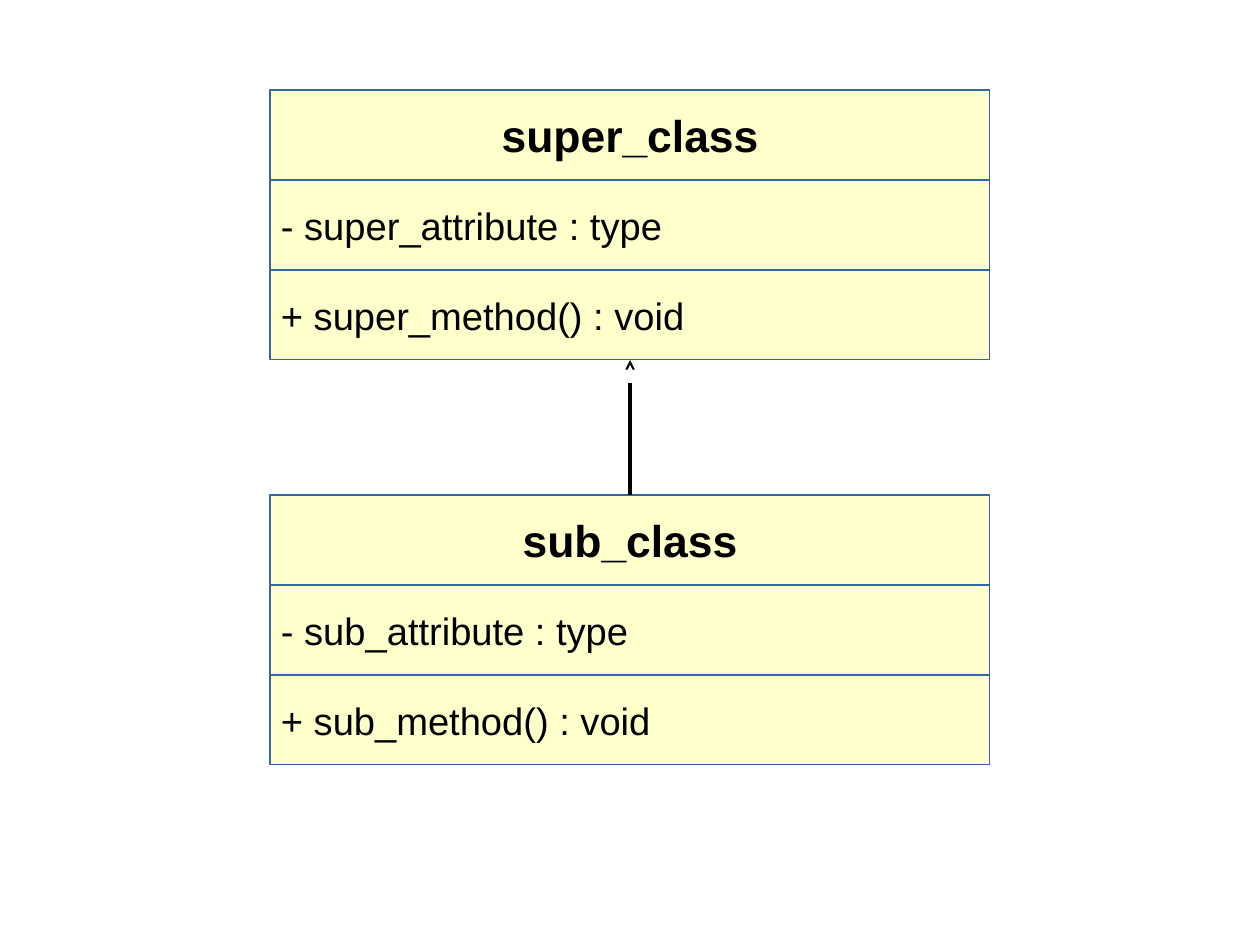
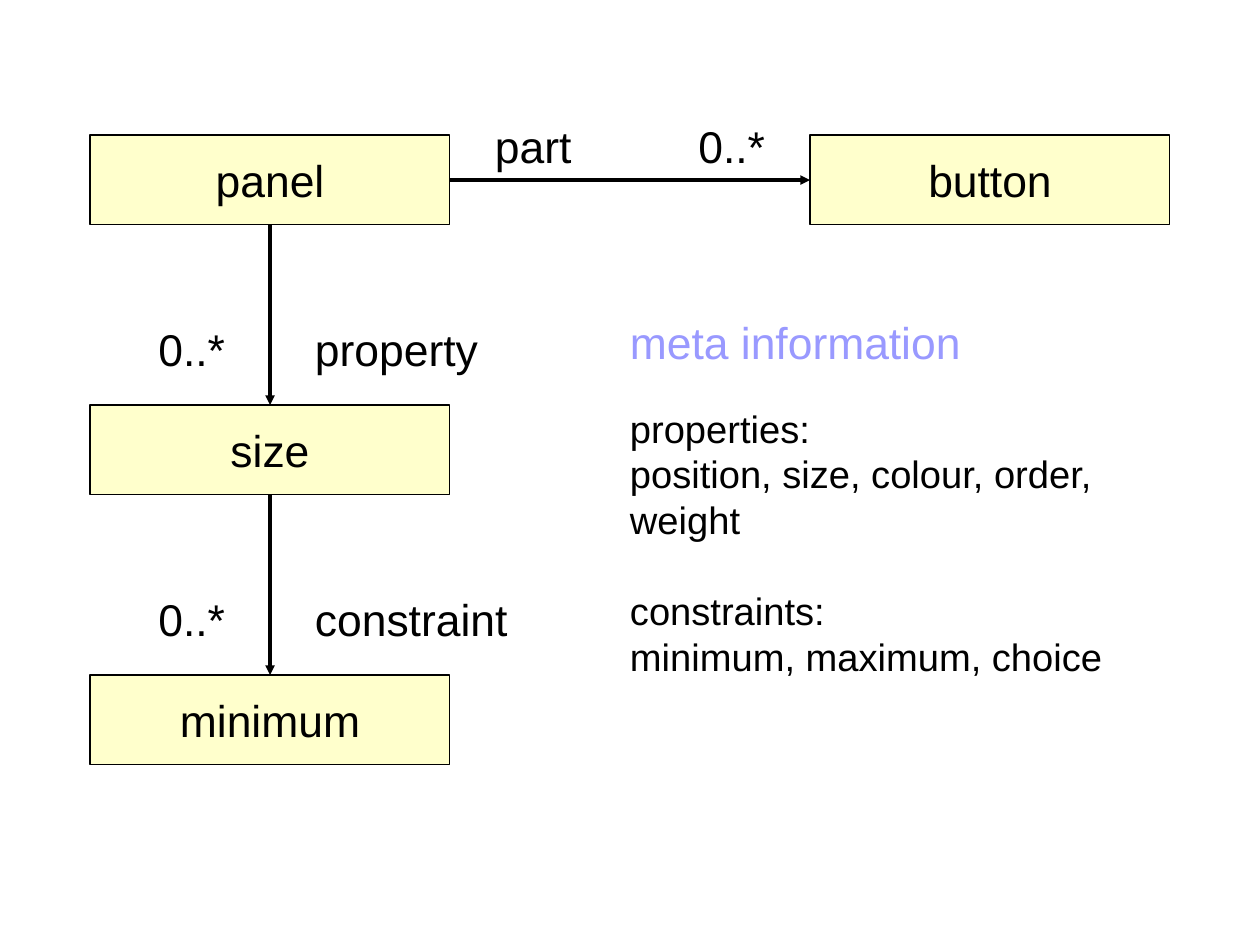
from lxml import etree
from pptx import Presentation
from pptx.dml.color import RGBColor
from pptx.enum.shapes import MSO_CONNECTOR, MSO_SHAPE
from pptx.enum.text import MSO_ANCHOR, PP_ALIGN
from pptx.oxml.ns import qn
from pptx.util import Pt

RECT, STRAIGHT = MSO_SHAPE.RECTANGLE, MSO_CONNECTOR.STRAIGHT
TOP, MIDDLE = MSO_ANCHOR.TOP, MSO_ANCHOR.MIDDLE
LEFT, CENTER, RIGHT = PP_ALIGN.LEFT, PP_ALIGN.CENTER, PP_ALIGN.RIGHT
SIDE_TOP, SIDE_LEFT, SIDE_BOTTOM, SIDE_RIGHT = range(4)

# Shared style
COLORS = {"box": "FFFFCC", "class_line": "3465A4", "black": "000000",
          "white": "FFFFFF", "heading": "9999FF"}
FONT = "Arial"
LARGE, SMALL = 28, 24
EMU_PER_PX = 8000
BOX_H = 90
LABEL_H = 68


def px(n):
    return n * EMU_PER_PX


def rgb(name):
    return RGBColor.from_string(COLORS[name])


def write(sp, lines, size=LARGE, align=LEFT, anchor=MIDDLE, bold=False,
          color="black", indent=0):
    """Fill a shape with paragraphs of one style and return them."""
    tf = sp.text_frame
    tf.word_wrap = True
    tf.vertical_anchor = anchor
    tf.margin_left = px(indent)
    tf.margin_top = tf.margin_right = tf.margin_bottom = 0
    tf.text = "\n".join(lines)
    for p in tf.paragraphs:
        p.alignment = align
        p.font.name, p.font.size, p.font.bold = FONT, Pt(size), bold
        p.font.color.rgb = rgb(color)
    return tf.paragraphs


def add_box(slide, x, y, w, text, line="black", **style):
    sp = slide.shapes.add_shape(RECT, px(x), px(y), px(w), px(BOX_H))
    sp.shadow.inherit = False
    sp.fill.solid()
    sp.fill.fore_color.rgb = rgb("box")
    sp.line.color.rgb = rgb(line)
    sp.line.width = 0
    write(sp, [text], **style)
    return sp


def add_text(slide, x, y, w, h, *lines, **style):
    sp = slide.shapes.add_textbox(px(x), px(y), px(w), px(h))
    return write(sp, lines, **style)


def add_arrow(slide, x1, y1, x2, y2, color="black"):
    cxn = slide.shapes.add_connector(STRAIGHT, px(x1), px(y1), px(x2), px(y2))
    cxn.line.color.rgb = rgb(color)
    cxn.line.width = 0
    etree.SubElement(cxn.line._get_or_add_ln(), qn("a:tailEnd"), type="triangle")
    etree.SubElement(cxn._element.spPr, qn("a:effectLst"))
    return cxn


def join(slide, start, start_side, end, end_side):
    cxn = add_arrow(slide, 0, 0, 0, 0)
    cxn.begin_connect(start, start_side)
    cxn.end_connect(end, end_side)


def add_class(slide, y, name, attribute, method):
    """Stack the three compartments of a class; return the first and last."""
    x, w, line = 270, 720, "class_line"
    head = add_box(slide, x, y, w, name, line, align=CENTER, bold=True)
    for i, member in enumerate((attribute, method), 1):
        last = add_box(slide, x, y + i * BOX_H, w, member, line,
                       size=SMALL, indent=11)
    return head, last


def inheritance_slide(slide):
    sub_head, _ = add_class(slide, 495, "sub_class", "- sub_attribute : type",
                            "+ sub_method() : void")
    _, super_foot = add_class(slide, 90, "super_class",
                              "- super_attribute : type",
                              "+ super_method() : void")
    # Black arrow with a white one inside its head
    join(slide, sub_head, SIDE_TOP, super_foot, SIDE_BOTTOM)
    add_arrow(slide, 630, 383, 630, 365, "white")


def meta_slide(slide):
    # Boxes: a column at the left, one more at the right
    left, top, w, step = 90, 135, 360, 270
    button = add_box(slide, 810, top, w, "button", align=CENTER)
    column = [add_box(slide, left, top + i * step, w, name, align=CENTER)
              for i, name in enumerate(("panel", "size", "minimum"))]

    # Relation across
    join(slide, column[0], SIDE_RIGHT, button, SIDE_LEFT)
    add_text(slide, 495, 112, 112, LABEL_H, "part")
    add_text(slide, 653, 112, 112, LABEL_H, "0..*", align=RIGHT)

    # Relations down
    for i, name in enumerate(("property", "constraint")):
        y = 315 + i * step
        join(slide, column[i], SIDE_BOTTOM, column[i + 1], SIDE_TOP)
        add_text(slide, 315, y, 225, LABEL_H, name)
        add_text(slide, 113, y, 112, LABEL_H, "0..*", align=RIGHT)

    # Explanation
    add_text(slide, 630, 315, 540, LABEL_H, "meta information",
             anchor=TOP, color="heading")
    paragraphs = add_text(
        slide, 630, 405, 540, 360, "properties:",
        "position, size, colour, order, weight", "constraints:",
        "minimum, maximum, choice", size=SMALL, anchor=TOP)
    paragraphs[2].space_before = Pt(28.8)


def main():
    prs = Presentation()
    prs.slide_width, prs.slide_height = px(1260), px(945)
    blank = prs.slide_layouts[6]
    for build in (inheritance_slide, meta_slide):
        build(prs.slides.add_slide(blank))
    prs.save("out.pptx")


if __name__ == "__main__":
    main()
